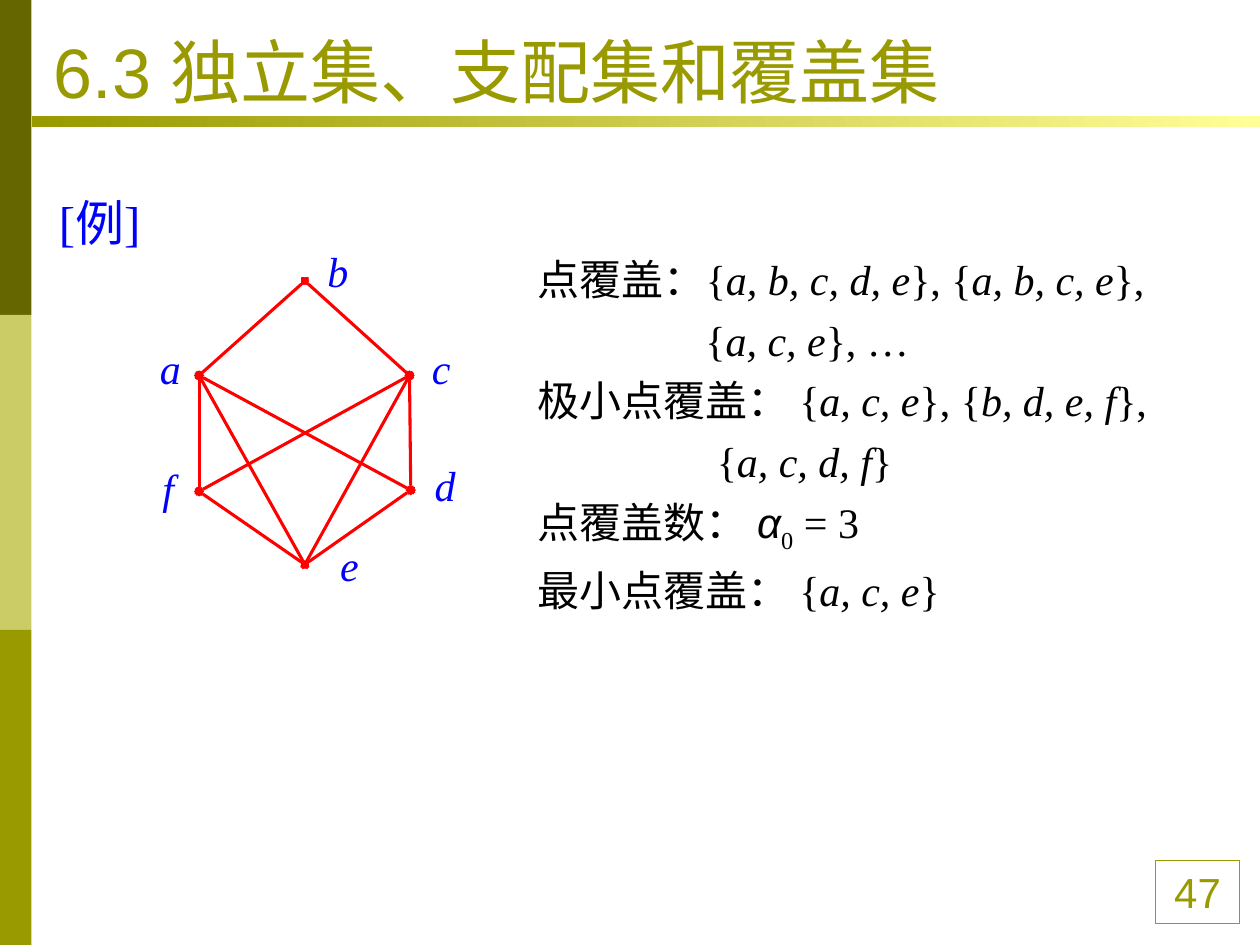
import pptx
import pptx.dml.color
import pptx.enum.shapes
import pptx.enum.text
import pptx.oxml
import pptx.oxml.ns
import pptx.util
from pptx.util import Inches

RGBColor = pptx.dml.color.RGBColor
OLIVE = RGBColor(0x99, 0x99, 0x00)
DARK_OLIVE = RGBColor(0x66, 0x66, 0x00)
LIGHT_OLIVE = RGBColor(0xCC, 0xCC, 0x66)
PALE_YELLOW = RGBColor(0xFF, 0xFF, 0x99)
BLUE = RGBColor(0x00, 0x00, 0xFF)
RED = RGBColor(0xFF, 0x00, 0x00)
BLACK = RGBColor(0x00, 0x00, 0x00)

ANCHOR = pptx.enum.text.MSO_ANCHOR
FIT_TEXT = pptx.enum.text.MSO_AUTO_SIZE.SHAPE_TO_FIT_TEXT

TITLE = {"name": "Arial", "size": pptx.util.Pt(40), "color": OLIVE}
NUMBER = {"name": "Arial", "size": pptx.util.Pt(24), "color": OLIVE}
EXAMPLE = {"name": "Times New Roman", "size": pptx.util.Pt(28), "color": BLUE}
LABEL = {"name": "Times New Roman", "size": pptx.util.Pt(24), "color": BLUE, "italic": True}
BODY = {"name": "Times New Roman", "size": pptx.util.Pt(24), "color": BLACK}
SYMBOL = {**BODY, "name": "Arial", "italic": True}

# Vertex position and label corner, in inches from the corner of the graph
VERTICES = {
    "a": ((0.41, 1.08), (0, 0.77)),
    "b": ((1.25, 0.33), (1.33, 0)),
    "c": ((2.08, 1.08), (2.16, 0.77)),
    "d": ((2.09, 1.99), (2.18, 1.7)),
    "e": ((1.25, 2.58), (1.43, 2.33)),
    "f": ((0.41, 2.0), (0.02, 1.72)),
}
EDGES = ["ba", "bc", "af", "de", "fe", "fc", "da", "ea", "ec", "cd"]

# Left indent in inches and text; asterisks switch italics on and off
COVERS = [
    (0, "点覆盖：{*a, b, c, d, e*}, {*a, b, c, e*},"),
    (1.33, "{*a, c, e*}, …"),
    (0, "极小点覆盖： {*a, c, e*}, {*b, d, e, f*},"),
    (1.42, "{*a, c, d, f*}"),
    (0, "点覆盖数： "),
    (0, "最小点覆盖： {*a, c, e*}"),
]
COVER_NUMBER_ROW = 4


def add_run(paragraph, text, style):
    run = paragraph.add_run()
    run.text = text
    for name, value in style.items():
        if name == "color":
            run.font.color.rgb = value
        else:
            setattr(run.font, name, value)
    return run


def add_text_box(shapes, box, **frame_format):
    frame = shapes.add_textbox(*map(Inches, box)).text_frame
    for name, value in {"word_wrap": True, **frame_format}.items():
        setattr(frame, name, value)
    return frame


def add_rectangle(shapes, box):
    shape = shapes.add_shape(pptx.enum.shapes.MSO_SHAPE.RECTANGLE, *map(Inches, box))
    shape.shadow.inherit = False
    shape.line.fill.background()
    return shape


def add_side_bar(slide, left, top, width, height):
    colors = [DARK_OLIVE, LIGHT_OLIVE, OLIVE]
    band = height / len(colors)
    for index, color in enumerate(colors):
        shape = add_rectangle(slide.shapes, (left, top + index * band, width, band))
        shape.fill.solid()
        shape.fill.fore_color.rgb = color


def add_title_rule(slide, *box):
    fill = add_rectangle(slide.shapes, box).fill
    fill.gradient()
    fill.gradient_angle = 0
    for stop, color in zip(fill.gradient_stops, (OLIVE, PALE_YELLOW)):
        stop.color.rgb = color


def add_page_number(slide, *box):
    shape = add_rectangle(slide.shapes, box)
    shape.fill.background()
    shape.line.color.rgb = OLIVE
    shape.line.width = pptx.util.Pt(0.75)
    paragraph = shape.text_frame.paragraphs[0]
    paragraph.alignment = pptx.enum.text.PP_ALIGN.CENTER
    add_run(paragraph, "47", NUMBER)


def add_line_of_text(slide, text, style, *box, **frame_format):
    frame = add_text_box(slide.shapes, box, **frame_format)
    add_run(frame.paragraphs[0], text, style)


def add_edge(shapes, start, end):
    """Draw a red edge with a diamond at both ends."""
    connector = shapes.add_connector(
        pptx.enum.shapes.MSO_CONNECTOR.STRAIGHT, *map(Inches, (*start, *end)))
    connector.line.color.rgb = RED
    connector.line.width = pptx.util.Pt(1.75)
    line = connector.line._get_or_add_ln()
    for tag in ("a:headEnd", "a:tailEnd"):
        marker = pptx.oxml.ns.qn(tag)
        line.append(line.makeelement(marker, {"type": "diamond"}))
    properties = connector._element.spPr
    properties.append(properties.makeelement(pptx.oxml.ns.qn("a:effectLst"), {}))


def add_graph(slide, left, top):
    shapes = slide.shapes.add_group_shape().shapes
    points = {name: (left + x, top + y) for name, ((x, y), _) in VERTICES.items()}
    for start, end in EDGES:
        add_edge(shapes, points[start], points[end])
    for name, (_, (x, y)) in VERTICES.items():
        frame = add_text_box(shapes, (left + x, top + y, 0.58, 0.5), auto_size=FIT_TEXT)
        add_run(frame.paragraphs[0], name, LABEL)


def add_covers(slide, *box):
    frame = add_text_box(slide.shapes, box, auto_size=FIT_TEXT)
    for row, (indent, text) in enumerate(COVERS):
        paragraph = frame.add_paragraph() if row else frame.paragraphs[0]
        if row:
            paragraph.space_before = pptx.util.Pt(6)
        if indent:
            paragraph._p.get_or_add_pPr().set("marL", str(Inches(indent)))
        for index, piece in enumerate(text.split("*")):
            add_run(paragraph, piece, {**BODY, "italic": index % 2 == 1})
        if row == COVER_NUMBER_ROW:
            add_run(paragraph, "α", SYMBOL)
            subscript = add_run(paragraph, "0", BODY)
            subscript.font._element.set("baseline", "-25000")
            add_run(paragraph, " = 3", BODY)


def main():
    presentation = pptx.Presentation()
    presentation.slide_width = Inches(10)
    presentation.slide_height = Inches(7.5)
    slide = presentation.slides.add_slide(presentation.slide_layouts[6])

    add_side_bar(slide, 0, 0, 0.25, 7.5)
    add_page_number(slide, 9.17, 6.83, 0.67, 0.5)
    add_title_rule(slide, 0.25, 0.92, 9.75, 0.09)
    add_line_of_text(slide, "[例]", EXAMPLE, 0.37, 1.48, 1.2, 0.69)
    add_covers(slide, 4.17, 1.96, 5.58, 2.98)
    add_graph(slide, 1.17, 1.9)
    add_line_of_text(slide, "6.3 独立集、支配集和覆盖集", TITLE, 0.33, 0.08, 9, 0.86,
                     vertical_anchor=ANCHOR.BOTTOM)
    presentation.save("out.pptx")


if __name__ == "__main__":
    main()
